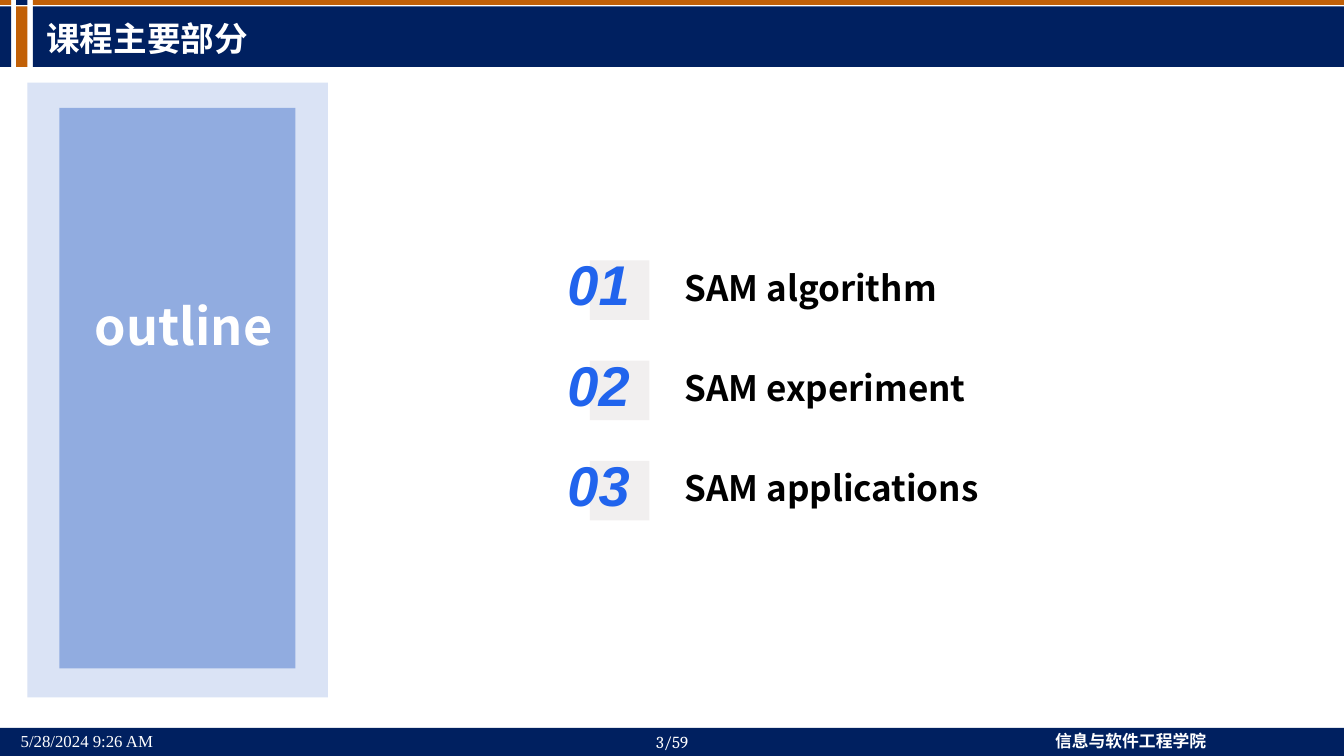
"""Build the course outline slide with its three numbered sections."""
from pptx import Presentation
from pptx.dml.color import RGBColor
from pptx.enum import lang, shapes, text
from pptx.util import Pt

COLOURS = {
    "navy": "002060",
    "orange": "C16007",
    "pale": "DAE3F5",
    "panel": "91ACE0",
    "tile": "F1EFEF",
    "number": "2164ED",
    "white": "FFFFFF",
    "black": "000000",
}
SANS = "Noto Sans CJK SC"
SECTIONS = [
    ("SAM algorithm", 207.4),
    ("SAM experiment", 227.5),
    ("SAM applications", 236.2),
]


def add_block(slide, left, top, width, height, colour):
    """Draw a plain filled rectangle."""
    block = slide.shapes.add_shape(
        shapes.MSO_SHAPE.RECTANGLE, Pt(left), Pt(top), Pt(width), Pt(height))
    block.shadow.inherit = False
    block.fill.solid()
    block.fill.fore_color.rgb = RGBColor.from_string(COLOURS[colour])
    block.line.fill.background()


def add_text(slide, wording, left, top, width, height, *, size, font=SANS,
             colour="white", bold=False, italic=False, centred=False,
             wrap=False, middle=False, spacing=None, chinese=False):
    """Place a single-paragraph text box."""
    box = slide.shapes.add_textbox(Pt(left), Pt(top), Pt(width), Pt(height))
    frame = box.text_frame
    frame.word_wrap = wrap
    if middle:
        frame.vertical_anchor = text.MSO_ANCHOR.MIDDLE
    else:
        frame.auto_size = text.MSO_AUTO_SIZE.SHAPE_TO_FIT_TEXT
    paragraph = frame.paragraphs[0]
    paragraph.alignment = text.PP_ALIGN.CENTER if centred else text.PP_ALIGN.LEFT
    paragraph.line_spacing = spacing
    run = paragraph.add_run()
    run.text = wording
    run.font.name = font
    run.font.size = Pt(size)
    run.font.bold = bold
    run.font.italic = italic
    run.font.color.rgb = RGBColor.from_string(COLOURS[colour])
    if chinese:
        run.font.language_id = lang.MSO_LANGUAGE_ID.SIMPLIFIED_CHINESE


def add_header(slide):
    """Draw the striped title bar and the title."""
    stripes = [(23.5, 936.5, "navy", "orange"),
               (11.6, 8, "orange", "navy"),
               (0, 8, "navy", "orange")]
    for left, width, band, edge in stripes:
        add_block(slide, left, 4.5, width, 43.3, band)
        add_block(slide, left, 0, width, 3.5, edge)
    add_text(slide, "课程主要部分", 26, 7.5, 852, 43, size=24, font="Cambria",
             bold=True, wrap=True, middle=True, spacing=0.9, chinese=True)


def add_footer(slide):
    """Draw the bottom bar with date, page and school."""
    add_block(slide, 0, 520, 960, 20, "navy")
    add_text(slide, "5/28/2024 9:26 AM", 7.7, 518.6, 125, 21.6, size=12,
             font="Times New Roman", wrap=True)
    add_text(slide, "信息与软件工程学院", 746.6, 518.4, 122.4, 21.6, size=12,
             bold=True, chinese=True)
    add_text(slide, "3/59", 446.6, 519.2, 67, 21.6, size=12, font="Cambria",
             centred=True, wrap=True)


def add_outline_panel(slide):
    """Draw the framed panel labelled outline."""
    add_block(slide, 19.6, 59, 214.6, 439.2, "pale")
    add_block(slide, 42.5, 77, 168.5, 400.5, "panel")
    add_text(slide, "outline", 56.2, 207.4, 149.8, 51, size=36, bold=True,
             centred=True, wrap=True)


def add_section(slide, number, heading, heading_width):
    """Draw one numbered section line."""
    top = 186 + 71.6 * (number - 1)
    add_block(slide, 421.4, top, 42.5, 42.5, "tile")
    add_text(slide, heading, 481.8, top + 0.6, heading_width, 37.4, size=25,
             colour="black", bold=True)
    add_text(slide, f"{number:02}", 397.9, top - 11, 59.4, 55.4, size=40,
             font="Arial", colour="number", bold=True, italic=True,
             centred=True)


def main():
    """Assemble and save the slide."""
    deck = Presentation()
    deck.slide_width, deck.slide_height = Pt(960), Pt(540)
    slide = deck.slides.add_slide(deck.slide_layouts[6])
    add_footer(slide)
    add_header(slide)
    add_outline_panel(slide)
    for number, (heading, width) in enumerate(SECTIONS, start=1):
        add_section(slide, number, heading, width)
    deck.save("out.pptx")


if __name__ == "__main__":
    main()
